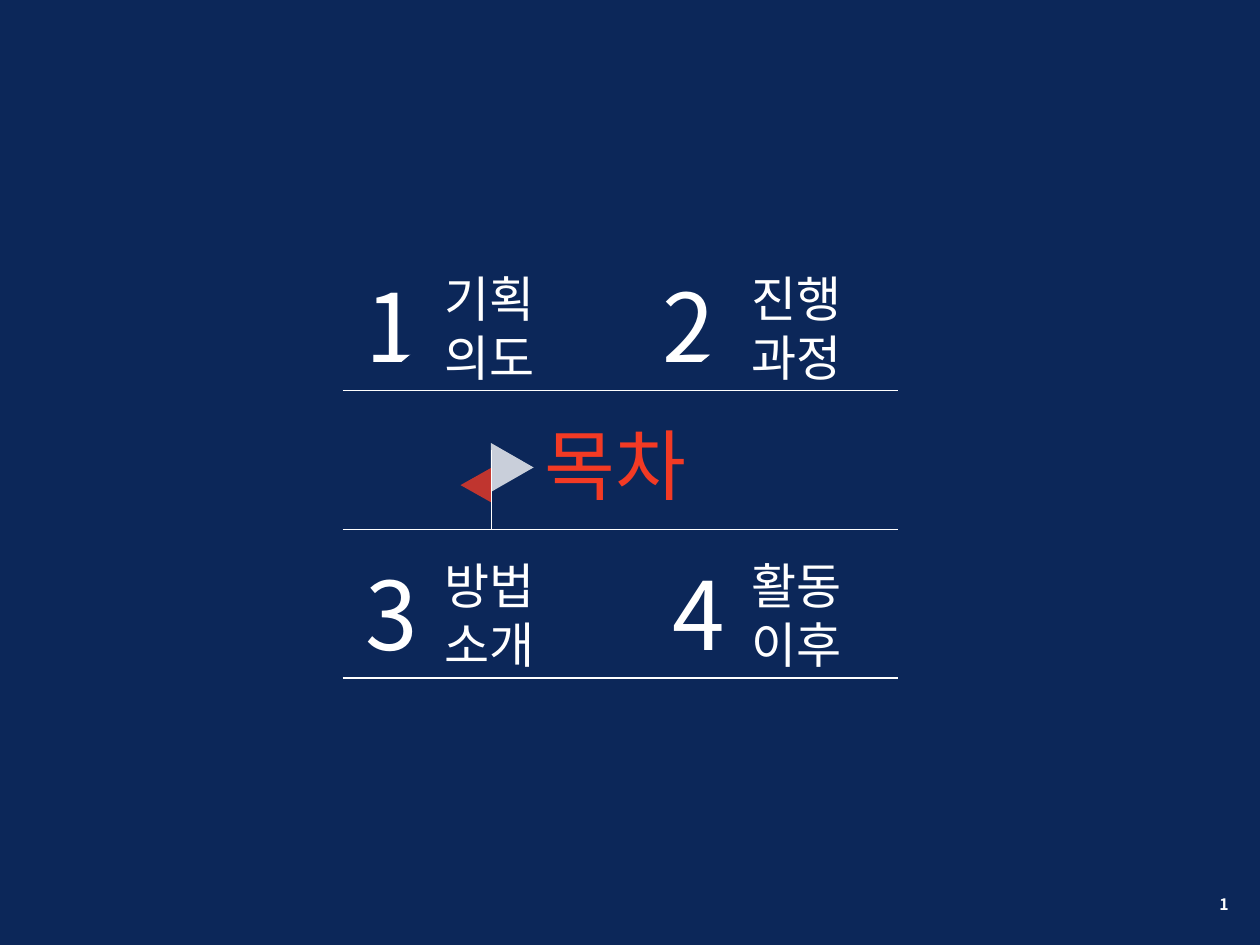
"""Build a contents slide: four numbered topics around a flagged title."""
from lxml import etree
from pptx import Presentation, util as u
from pptx.dml.color import RGBColor
from pptx.enum import shapes, text
from pptx.oxml.ns import qn

NAVY = RGBColor(0x0C, 0x27, 0x59)
WHITE = RGBColor(0xFF, 0xFF, 0xFF)
RED = RGBColor(0xF3, 0x3A, 0x24)
FONT = "Noto Sans CJK KR"
LEFT, RIGHT = 2.72, 7.13
COLS, ROWS = (2.8, 5.24), (2.08, 4.36)
LABEL_DX = 0.63
RULES = (3.1, 4.2, 5.38)
POLE_X = 3.9

prs = Presentation()
prs.slide_width, prs.slide_height = u.Inches(10), u.Inches(7.5)
s = prs.slides.add_slide(prs.slide_layouts[5])
s.background.fill.solid()
s.background.fill.fore_color.rgb = NAVY


def write(sp, box, lines, size, color, align, bold=False):
    sp.left, sp.top, sp.width, sp.height = map(u.Inches, box)
    tf = sp.text_frame
    tf.word_wrap = True
    tf.auto_size = text.MSO_AUTO_SIZE.NONE
    tf.vertical_anchor = text.MSO_ANCHOR.TOP
    for i, line in enumerate(lines):
        p = tf.add_paragraph() if i else tf.paragraphs[0]
        p.alignment = align
        r = p.add_run()
        r.text = line
        r.font.name, r.font.size, r.font.bold = FONT, u.Pt(size), bold
        r.font.color.rgb = color
        etree.SubElement(r.font._element, qn("a:ea")).set("typeface", FONT)
    return tf


def triangle(box, color, rotation=0, alpha=100):
    sp = s.shapes.add_shape(shapes.MSO_SHAPE.ISOSCELES_TRIANGLE, *map(u.Inches, box))
    sp.shadow.inherit = False
    sp.rotation = rotation
    sp.fill.solid()
    sp.fill.fore_color.rgb = color
    sp.line.fill.background()
    if alpha < 100:
        clr = sp.fill._xPr.find(qn("a:solidFill"))[0]
        etree.SubElement(clr, qn("a:alpha")).set("val", str(alpha * 1000))
    return sp


write(s.shapes.title, (2.64, 3.26, 4.49, 0.84), ["목차"], 44, RED, text.PP_ALIGN.CENTER)

topics = [
    ("1", ["기획", "의도"], 0, 0.21, 0.55),
    ("2", ["진행", "과정"], -0.08, 0.15, 0.55),
    ("3", ["방법", "소개"], 0, 0.21, 0.63),
    ("4", ["활동", "이후"], 0, 0.15, 0.63),
]
for i, (number, label, shift, cut_dx, cut_dy) in enumerate(topics):
    x, y = COLS[i % 2], ROWS[i // 2]
    write(s.shapes.add_textbox(0, 0, 0, 0), (x + shift, y, 0.63, 1.01),
          [number], 54, WHITE, text.PP_ALIGN.LEFT)
    triangle((x + cut_dx, y + cut_dy, 0.47, 0.39), NAVY).adjustments[0] = 1
    write(s.shapes.add_textbox(0, 0, 0, 0), (x + LABEL_DX, y, 0.94, 1.04),
          label, 28, WHITE, text.PP_ALIGN.JUSTIFY)

lines = [(LEFT, y, RIGHT, y) for y in RULES] + [(POLE_X, 3.57, POLE_X, RULES[1])]
for ends in lines:
    c = s.shapes.add_connector(shapes.MSO_CONNECTOR.STRAIGHT, *map(u.Inches, ends))
    c.line.color.rgb = WHITE
    c.line.width = u.Pt(0.75)
    etree.SubElement(c._element.spPr, qn("a:effectLst"))

triangle((3.87, 3.54, 0.39, 0.34), WHITE, 90, 78)
triangle((3.64, 3.73, 0.27, 0.24), RED, 270, 78)

tf = write(s.shapes.add_textbox(0, 0, 0, 0), (7.52, 6.98, 2.33, 0.4),
           ["1"], 9, WHITE, text.PP_ALIGN.RIGHT, True)
tf.vertical_anchor = text.MSO_ANCHOR.MIDDLE

prs.save("out.pptx")
